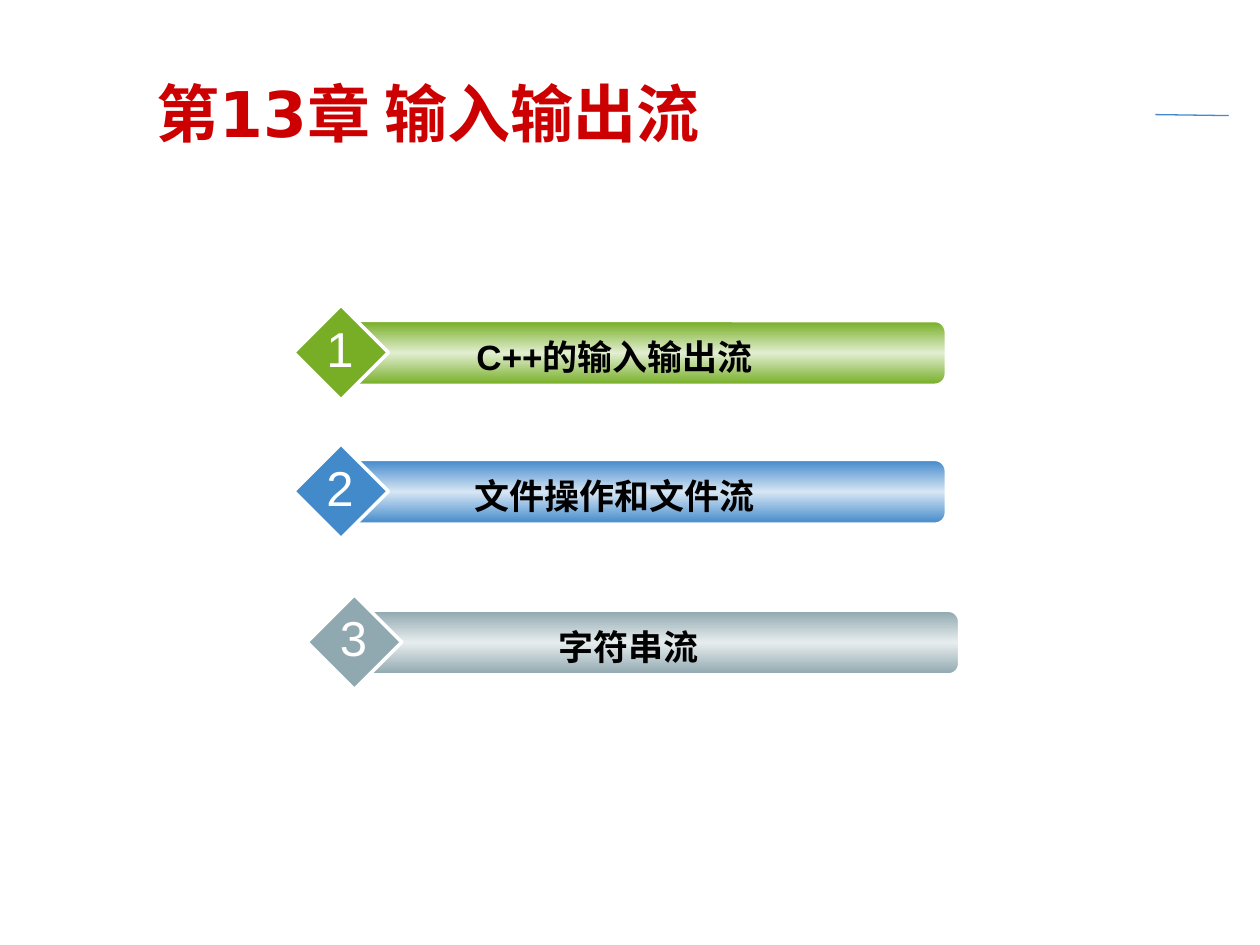
from copy import deepcopy
from dataclasses import dataclass

from pptx import Presentation
from pptx import util as u
from pptx.dml.color import RGBColor
from pptx.enum import shapes, text
from pptx.oxml.ns import qn
from pptx.shapes.autoshape import Shape
from pptx.shapes.group import GroupShape
from pptx.slide import Slide
from pptx.text.text import TextFrame

COLORS = {
    "title": "CC0000", "rule": "438ACB", "black": "000000", "white": "FFFFFF",
    "green": "77AE26", "pale green": "E2EED1",
    "blue": "438ACB", "pale blue": "D7E6F4",
    "gray": "90A8B0", "pale gray": "E7EDEE",
}


@dataclass
class Chapter:
    number: str
    name: str
    color: str
    left: float
    top: float


CHAPTERS = [
    Chapter("1", "C++的输入输出流", "green", 6.99, 6.48),
    Chapter("2", "文件操作和文件流", "blue", 6.99, 9.28),
    Chapter("3", "字符串流", "gray", 7.26, 12.32),
]


def rgb(name: str) -> RGBColor:
    return RGBColor.from_string(COLORS[name])


def write(frame: TextFrame, words: str, size: float, color: str,
          align: text.PP_ALIGN, bold: bool = False, face: str = "Arial") -> None:
    para = frame.paragraphs[0]
    para.text = words
    para.alignment = align
    font = para.font
    font.name, font.size, font.bold = face, u.Pt(size), bold
    font.color.rgb = rgb(color)


def add_shape(group: GroupShape, kind: shapes.MSO_SHAPE, left: float, top: float,
              width: float, height: float, line_width: float) -> Shape:
    shape = group.shapes.add_shape(kind, u.Cm(left), u.Cm(top), u.Cm(width), u.Cm(height))
    shape.shadow.inherit = False
    shape.line.color.rgb = rgb("white")
    shape.line.width = u.Pt(line_width)
    return shape


def fill_band(shape: Shape, edge: str, middle: str) -> None:
    shape.fill.gradient()
    shape.fill.gradient_angle = 270
    stops = shape._element.spPr.find(qn("a:gradFill")).find(qn("a:gsLst"))
    stops.insert(1, deepcopy(stops[0]))
    for stop, position, color in zip(shape.fill.gradient_stops, (0, 0.5, 1), (edge, middle, edge)):
        stop.position = position
        stop.color.rgb = rgb(color)


def add_label(group: GroupShape, words: str, left: float, top: float, width: float,
              height: float, size: float, color: str, bold: bool, wrap: bool) -> None:
    box = group.shapes.add_textbox(u.Cm(left), u.Cm(top), u.Cm(width), u.Cm(height))
    box.text_frame.word_wrap = wrap
    box.text_frame.auto_size = text.MSO_AUTO_SIZE.SHAPE_TO_FIT_TEXT
    write(box.text_frame, words, size, color, text.PP_ALIGN.CENTER, bold)


def add_chapter(page: Slide, chapter: Chapter) -> None:
    group = page.shapes.add_group_shape()
    left, top = chapter.left, chapter.top
    bar = add_shape(group, shapes.MSO_SHAPE.ROUNDED_RECTANGLE, left, top, 12.07, 1.27, 1)
    fill_band(bar, chapter.color, f"pale {chapter.color}")
    badge = add_shape(group, shapes.MSO_SHAPE.DIAMOND, left - 1.07, top - 0.33, 1.91, 1.91, 2)
    badge.fill.solid()
    badge.fill.fore_color.rgb = rgb(chapter.color)
    add_label(group, chapter.name, left + 0.64, top + 0.16, 9.53, 1.12, 20, "black", True, True)
    add_label(group, chapter.number, left - 0.66, top - 0.19, 1.04, 1.45, 28, "white", False, False)


def add_rule(page: Slide) -> None:
    rule = page.shapes.add_connector(
        shapes.MSO_CONNECTOR.STRAIGHT, u.Cm(23.29), u.Cm(2.31), u.Cm(24.77), u.Cm(2.33))
    rule.line.color.rgb = rgb("rule")
    rule.line.width = u.Pt(0.75)
    spPr = rule._element.spPr
    spPr.append(spPr.makeelement(qn("a:effectLst"), {}))


def add_title(page: Slide) -> None:
    title = page.shapes.title
    title.left, title.top = u.Cm(2.9), u.Cm(1.47)
    title.width, title.height = u.Cm(20.8), u.Cm(1.57)
    frame = title.text_frame
    frame.auto_size = text.MSO_AUTO_SIZE.NONE
    frame.vertical_anchor = text.MSO_ANCHOR.MIDDLE
    write(frame, "第13章 输入输出流", 36, "title", text.PP_ALIGN.LEFT, True, "DejaVu Sans")


def main() -> None:
    deck = Presentation()
    deck.slide_width, deck.slide_height = u.Cm(25.4), u.Cm(19.05)
    page = deck.slides.add_slide(deck.slide_layouts[5])
    add_rule(page)
    add_title(page)
    for chapter in CHAPTERS:
        add_chapter(page, chapter)
    deck.save("out.pptx")


if __name__ == "__main__":
    main()
